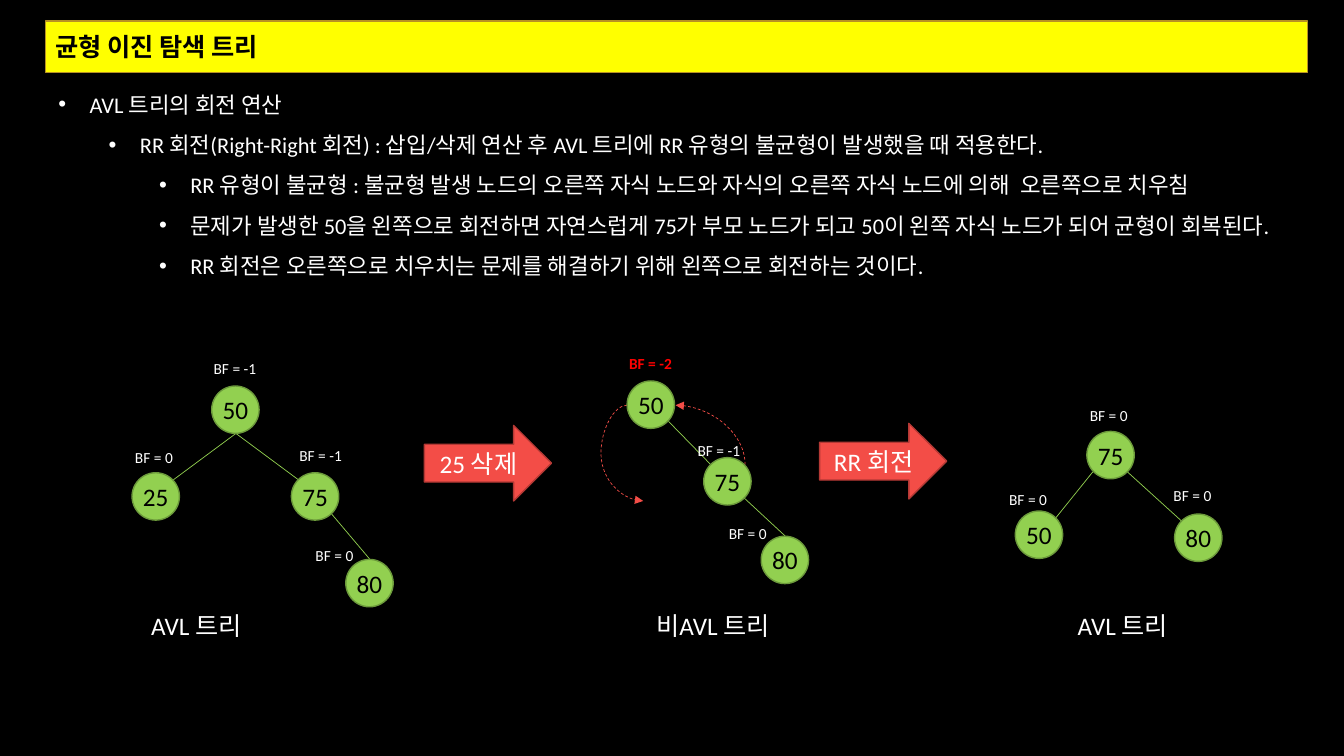
from dataclasses import dataclass

from lxml import etree
from pptx import Presentation
from pptx.dml.color import RGBColor
from pptx.enum.dml import MSO_LINE
from pptx.enum.shapes import MSO_CONNECTOR, MSO_SHAPE
from pptx.enum.text import MSO_ANCHOR, PP_ALIGN
from pptx.oxml.ns import qn
from pptx.util import Inches, Pt

STRAIGHT, CURVE = MSO_CONNECTOR.STRAIGHT, MSO_CONNECTOR.CURVE
RECTANGLE, OVAL, RIGHT_ARROW = MSO_SHAPE.RECTANGLE, MSO_SHAPE.OVAL, MSO_SHAPE.RIGHT_ARROW
LEFT, CENTER = PP_ALIGN.LEFT, PP_ALIGN.CENTER
TOP, MIDDLE = MSO_ANCHOR.TOP, MSO_ANCHOR.MIDDLE
DASH = MSO_LINE.DASH

FONT = "Calibri"
BLACK, WHITE, YELLOW, RED = "000000", "FFFFFF", "FFFF00", "FF0000"
GREEN, DARK_GREEN = "92D050", "6C9A3B"
CORAL, DARK_CORAL, GOLD = "F34D47", "B43935", "B79024"
NODE_SIZE = 0.47


@dataclass
class Node:
    key: str
    left: float
    top: float
    balance: str
    balance_left: float
    balance_top: float
    unbalanced: bool = False


@dataclass
class Edge:
    x1: float
    y1: float
    x2: float
    y2: float


@dataclass
class Tree:
    caption: str
    caption_left: float
    caption_width: float
    nodes: list[Node]
    edges: list[Edge]


@dataclass
class Step:
    text: str
    left: float
    top: float


BULLETS = [
    (0, "AVL 트리의 회전 연산"),
    (1, "RR 회전(Right-Right 회전) : 삽입/삭제 연산 후 AVL 트리에 RR 유형의 불균형이 발생했을 때 적용한다."),
    (2, "RR 유형이 불균형 : 불균형 발생 노드의 오른쪽 자식 노드와 자식의 오른쪽 자식 노드에 의해  오른쪽으로 치우침"),
    (2, "문제가 발생한 50을 왼쪽으로 회전하면 자연스럽게 75가 부모 노드가 되고 50이 왼쪽 자식 노드가 되어 균형이 회복된다."),
    (2, "RR 회전은 오른쪽으로 치우치는 문제를 해결하기 위해 왼쪽으로 회전하는 것이다."),
]
TREES = [
    Tree("AVL 트리", 1.4, 1.25, [
        Node("50", 2.1, 3.83, "BF = -1", 2.02, 3.51),
        Node("25", 1.31, 4.69, "BF = 0", 1.24, 4.4),
        Node("75", 2.89, 4.69, "BF = -1", 2.87, 4.38),
        Node("80", 3.43, 5.55, "BF = 0", 3.03, 5.37),
    ], [Edge(2.34, 4.3, 1.72, 4.76), Edge(2.34, 4.3, 2.96, 4.76), Edge(3.29, 5.1, 3.67, 5.55)]),
    Tree("비AVL 트리", 6.41, 1.44, [
        Node("50", 6.22, 3.78, "BF = -2", 6.14, 3.46, True),
        Node("75", 6.98, 4.54, "BF = -1", 6.82, 4.33),
        Node("80", 7.55, 5.32, "BF = 0", 7.13, 5.15),
    ], [Edge(6.63, 4.18, 7.05, 4.61), Edge(7.38, 4.94, 7.79, 5.32)]),
    Tree("AVL 트리", 10.59, 1.25, [
        Node("75", 10.78, 4.28, "BF = 0", 10.71, 3.98),
        Node("50", 10.07, 5.07, "BF = 0", 9.91, 4.81),
        Node("80", 11.65, 5.1, "BF = 0", 11.54, 4.77),
    ], [Edge(11.72, 5.17, 11.18, 4.68), Edge(10.84, 4.68, 10.47, 5.14)]),
]
STEPS = [Step("25 삭제", 4.21, 4.22), Step("RR 회전", 8.13, 4.2)]


def color(hex_value):
    return RGBColor.from_string(hex_value)


def paint(shape, fill: str, line: str) -> None:
    shape.fill.solid()
    shape.fill.fore_color.rgb = color(fill)
    shape.line.color.rgb = color(line)
    shape.line.width = Pt(1)


def style(paragraph, size: float, text_color: str, alignment=LEFT, bold: bool = False) -> None:
    paragraph.alignment = alignment
    paragraph.font.name = FONT
    paragraph.font.size = Pt(size)
    paragraph.font.bold = bold
    paragraph.font.color.rgb = color(text_color)


def add_box(slide, kind, left: float, top: float, width: float, height: float, fill: str, line: str):
    shape = slide.shapes.add_shape(kind, Inches(left), Inches(top), Inches(width), Inches(height))
    shape.shadow.inherit = False
    paint(shape, fill, line)
    return shape


def add_label(slide, text: str, left: float, top: float, width: float, height: float,
              size: float, text_color: str = WHITE, bold: bool = False) -> None:
    box = slide.shapes.add_textbox(Inches(left), Inches(top), Inches(width), Inches(height))
    box.text_frame.word_wrap = True
    box.text_frame.text = text
    style(box.text_frame.paragraphs[0], size, text_color, bold=bold)


def add_line(slide, kind, edge: Edge, line_color: str):
    line = slide.shapes.add_connector(
        kind, Inches(edge.x1), Inches(edge.y1), Inches(edge.x2), Inches(edge.y2))
    line.line.color.rgb = color(line_color)
    line.line.width = Pt(0.5)
    etree.SubElement(line._element.spPr, qn("a:effectLst"))
    return line


def add_rotation_curve(slide, edge: Edge):
    curve = add_line(slide, CURVE, edge, CORAL)
    curve.line.dash_style = DASH
    etree.SubElement(curve.line._get_or_add_ln(), qn("a:tailEnd"), type="triangle")
    return curve


def format_title(slide):
    title = slide.shapes.title
    title.left, title.top, title.width, title.height = map(Inches, (0.45, 0.21, 12.52, 0.51))
    geometry = etree.Element(qn("a:prstGeom"), prst="roundRect")
    etree.SubElement(geometry, qn("a:avLst"))
    title._element.spPr.insert(1, geometry)
    paint(title, YELLOW, GOLD)
    title.text_frame.text = "균형 이진 탐색 트리"
    title.text_frame.vertical_anchor = MIDDLE
    style(title.text_frame.paragraphs[0], 18, BLACK, bold=True)
    return title


def add_bullets(slide):
    panel = add_box(slide, RECTANGLE, 0.48, 0.72, 12.72, 6.46, BLACK, BLACK)
    frame = panel.text_frame
    frame.word_wrap = True
    frame.vertical_anchor = TOP
    for index, (level, text) in enumerate(BULLETS):
        paragraph = frame.add_paragraph() if index else frame.paragraphs[0]
        paragraph.text = text
        paragraph.level = level
        paragraph.line_spacing = 1.5
        properties = paragraph._p.get_or_add_pPr()
        properties.set("marL", str(Inches(0.31 + 0.5 * level)))
        properties.set("indent", str(Inches(-0.31)))
        etree.SubElement(properties, qn("a:buFont"), typeface="Arial")
        etree.SubElement(properties, qn("a:buChar"), char="•")
        style(paragraph, 16, WHITE)
    return panel


def add_node(slide, node: Node) -> None:
    circle = add_box(slide, OVAL, node.left, node.top, NODE_SIZE, NODE_SIZE, GREEN, DARK_GREEN)
    frame = circle.text_frame
    frame.margin_left = frame.margin_right = frame.margin_top = frame.margin_bottom = 0
    frame.word_wrap = False
    frame.vertical_anchor = MIDDLE
    frame.text = node.key
    style(frame.paragraphs[0], 18, BLACK, CENTER)
    add_label(slide, node.balance, node.balance_left, node.balance_top, 0.71, 0.29, 11,
              RED if node.unbalanced else WHITE, node.unbalanced)


def add_step(slide, step: Step) -> None:
    arrow = add_box(slide, RIGHT_ARROW, step.left, step.top, 1.26, 0.75, CORAL, DARK_CORAL)
    arrow.text_frame.vertical_anchor = MIDDLE
    arrow.text_frame.text = step.text
    style(arrow.text_frame.paragraphs[0], 18, WHITE, CENTER)


def add_rotation_arrows(slide) -> None:
    left_curve = add_rotation_curve(slide, Edge(6.22, 4.02, 6.38, 4.97))
    adjustments = left_curve._element.spPr.find(qn("a:prstGeom")).find(qn("a:avLst"))
    etree.SubElement(adjustments, qn("a:gd"), name="adj1", fmla="val -162200")
    right_curve = add_rotation_curve(slide, Edge(6.75, 4.66, 7.34, 3.97))
    right_curve._element.spPr.find(qn("a:prstGeom")).set("prst", "curvedConnector2")
    right_curve._element.spPr.find(qn("a:xfrm")).set("rot", str(270 * 60000))


def main() -> None:
    presentation = Presentation()
    presentation.slide_width, presentation.slide_height = Inches(13.33), Inches(7.5)
    slide = presentation.slides.add_slide(presentation.slide_layouts[5])
    slide.background.fill.solid()
    slide.background.fill.fore_color.rgb = color(BLACK)
    title = format_title(slide)
    add_bullets(slide)._element.addnext(title._element)
    add_rotation_arrows(slide)
    for tree in TREES:
        for edge in tree.edges:
            add_line(slide, STRAIGHT, edge, GREEN)
        for node in tree.nodes:
            add_node(slide, node)
        add_label(slide, tree.caption, tree.caption_left, 6.01, tree.caption_width, 0.4, 18)
    for step in STEPS:
        add_step(slide, step)
    presentation.save("out.pptx")


if __name__ == "__main__":
    main()
